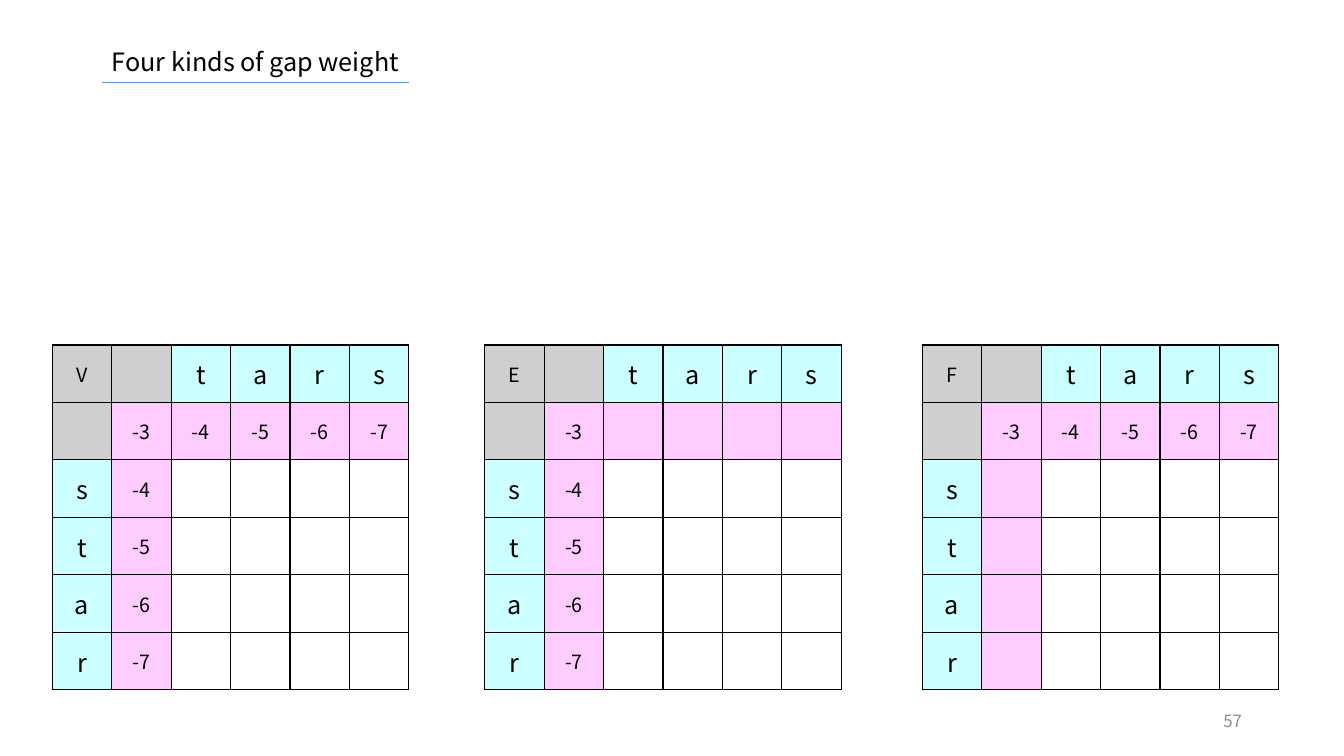
import pptx
import pptx.dml.color
import pptx.enum.shapes
import pptx.enum.text
import pptx.oxml
import pptx.oxml.ns
import pptx.util
from pptx.util import Pt

RGBColor = pptx.dml.color.RGBColor
PP_ALIGN = pptx.enum.text.PP_ALIGN
MSO_ANCHOR = pptx.enum.text.MSO_ANCHOR

BLACK = RGBColor(0x00, 0x00, 0x00)
WHITE = RGBColor(0xFF, 0xFF, 0xFF)
PAGE_GRAY = RGBColor(0x8C, 0x8C, 0x8C)
CORNER_GRAY = RGBColor(0xD0, 0xCE, 0xCE)
LETTER_CYAN = RGBColor(0xCC, 0xFF, 0xFF)
WEIGHT_PINK = RGBColor(0xFF, 0xCC, 0xFF)
RULE_BLUE = RGBColor(0x5B, 0x9B, 0xD5)

FONT = "Noto Sans CJK KR"
COLUMN_WORD = "tars"
ROW_WORD = "star"
WEIGHTS = ["-4", "-5", "-6", "-7"]
NO_WEIGHTS = [""] * 4
COLUMN_WIDTH = Pt(42.45)
ROW_HEIGHT = Pt(41.05)
MATRIX_TOP = Pt(246.4)


def write(frame, text, size, color=BLACK, align=PP_ALIGN.LEFT):
    paragraph = frame.paragraphs[0]
    paragraph.text = text
    paragraph.alignment = align
    paragraph.font.name = FONT
    paragraph.font.size = Pt(size)
    paragraph.font.color.rgb = color


def add_title(slide, text):
    title = slide.shapes.title
    title.left, title.top = Pt(72.7), Pt(29.5)
    title.width, title.height = Pt(528.5), Pt(28.8)
    title.text_frame.vertical_anchor = MSO_ANCHOR.TOP
    title.text_frame.auto_size = pptx.enum.text.MSO_AUTO_SIZE.NONE
    write(title.text_frame, text, 18)


def add_title_rule(slide):
    rule = slide.shapes.add_connector(
        pptx.enum.shapes.MSO_CONNECTOR.STRAIGHT, Pt(72.7), Pt(59), Pt(292.3), Pt(59))
    rule.line.color.rgb = RULE_BLUE
    rule.line.width = Pt(0.5)
    rule._element.spPr.append(pptx.oxml.parse_xml(
        f'<a:effectLst {pptx.oxml.ns.nsdecls("a")}/>'))


def add_page_number(slide, number):
    box = slide.shapes.add_textbox(Pt(678.2), Pt(500.4), Pt(216), Pt(28.8))
    box.text_frame.word_wrap = True
    box.text_frame.vertical_anchor = MSO_ANCHOR.MIDDLE
    write(box.text_frame, number, 12, PAGE_GRAY, PP_ALIGN.RIGHT)


def add_borders(cell):
    properties = cell._tc.get_or_add_tcPr()
    for index, side in enumerate(("lnL", "lnR", "lnT", "lnB")):
        properties.insert(index, pptx.oxml.parse_xml(
            f'<a:{side} {pptx.oxml.ns.nsdecls("a")} w="{Pt(1)}">'
            f'<a:solidFill><a:srgbClr val="{BLACK}"/></a:solidFill></a:{side}>'))


def cell_style(row, column):
    """Return the fill and the text size that a cell's place calls for."""
    if row + column < 2 and row * column == 0:
        return CORNER_GRAY, 14
    if row == 0 or column == 0:
        return LETTER_CYAN, 18
    if row == 1 or column == 1:
        return WEIGHT_PINK, 14
    return WHITE, 14


def add_matrix(slide, left, name, top_weights, side_weights):
    rows = [[name, "", *COLUMN_WORD], ["", "-3", *top_weights]]
    rows += [[letter, weight, *NO_WEIGHTS]
             for letter, weight in zip(ROW_WORD, side_weights)]
    count = len(rows)
    table = slide.shapes.add_table(
        count, count, left, MATRIX_TOP, COLUMN_WIDTH * count, ROW_HEIGHT * count).table
    for column in table.columns:
        column.width = COLUMN_WIDTH
    for r, texts in enumerate(rows):
        table.rows[r].height = ROW_HEIGHT
        for c, text in enumerate(texts):
            cell = table.cell(r, c)
            fill, size = cell_style(r, c)
            cell.fill.solid()
            cell.fill.fore_color.rgb = fill
            cell.vertical_anchor = MSO_ANCHOR.MIDDLE
            cell.margin_left = cell.margin_right = Pt(5)
            cell.margin_top = cell.margin_bottom = Pt(3)
            write(cell.text_frame, text, size, align=PP_ALIGN.CENTER)
            add_borders(cell)


def main():
    presentation = pptx.Presentation()
    presentation.slide_width, presentation.slide_height = Pt(960), Pt(540)
    slide = presentation.slides.add_slide(presentation.slide_layouts[5])
    add_title(slide, "Four kinds of gap weight")
    add_title_rule(slide)
    add_matrix(slide, Pt(37.4), "V", WEIGHTS, WEIGHTS)
    add_matrix(slide, Pt(346.3), "E", NO_WEIGHTS, WEIGHTS)
    add_matrix(slide, Pt(658.8), "F", WEIGHTS, NO_WEIGHTS)
    add_page_number(slide, "57")
    presentation.save("out.pptx")


if __name__ == "__main__":
    main()
